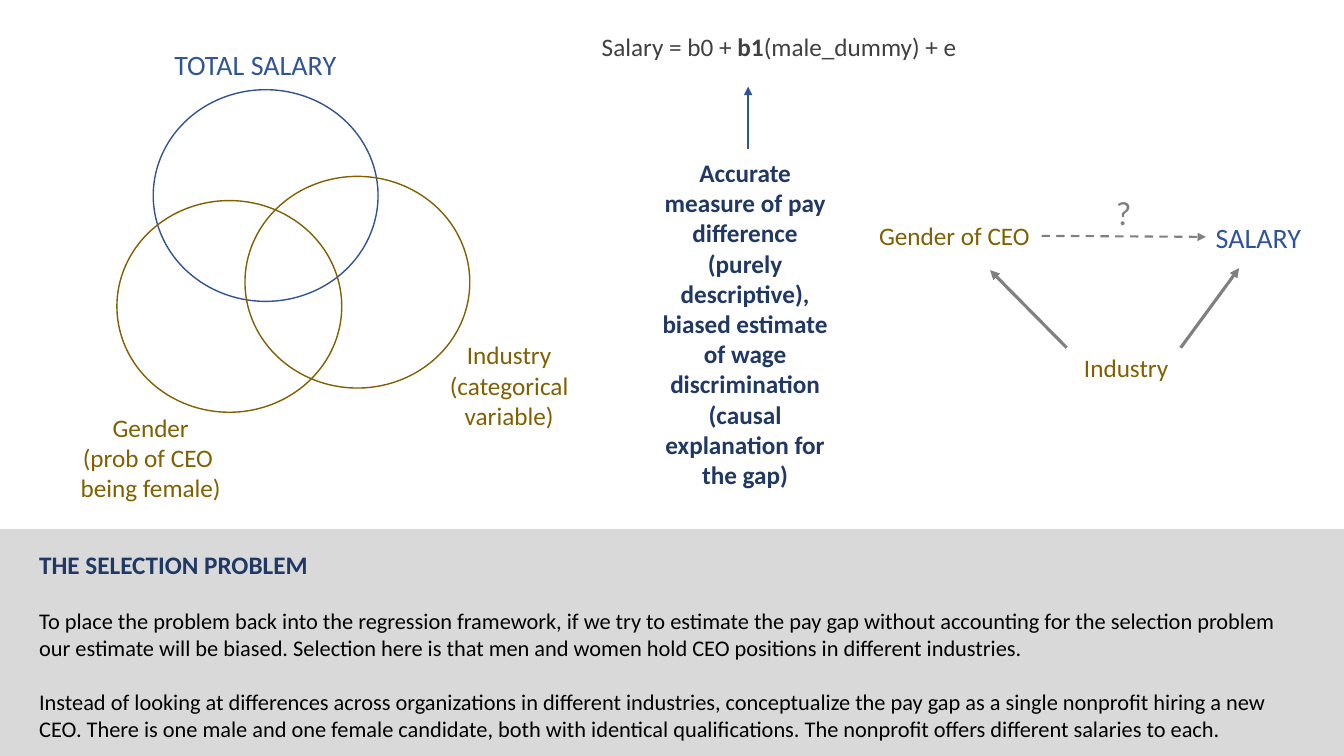
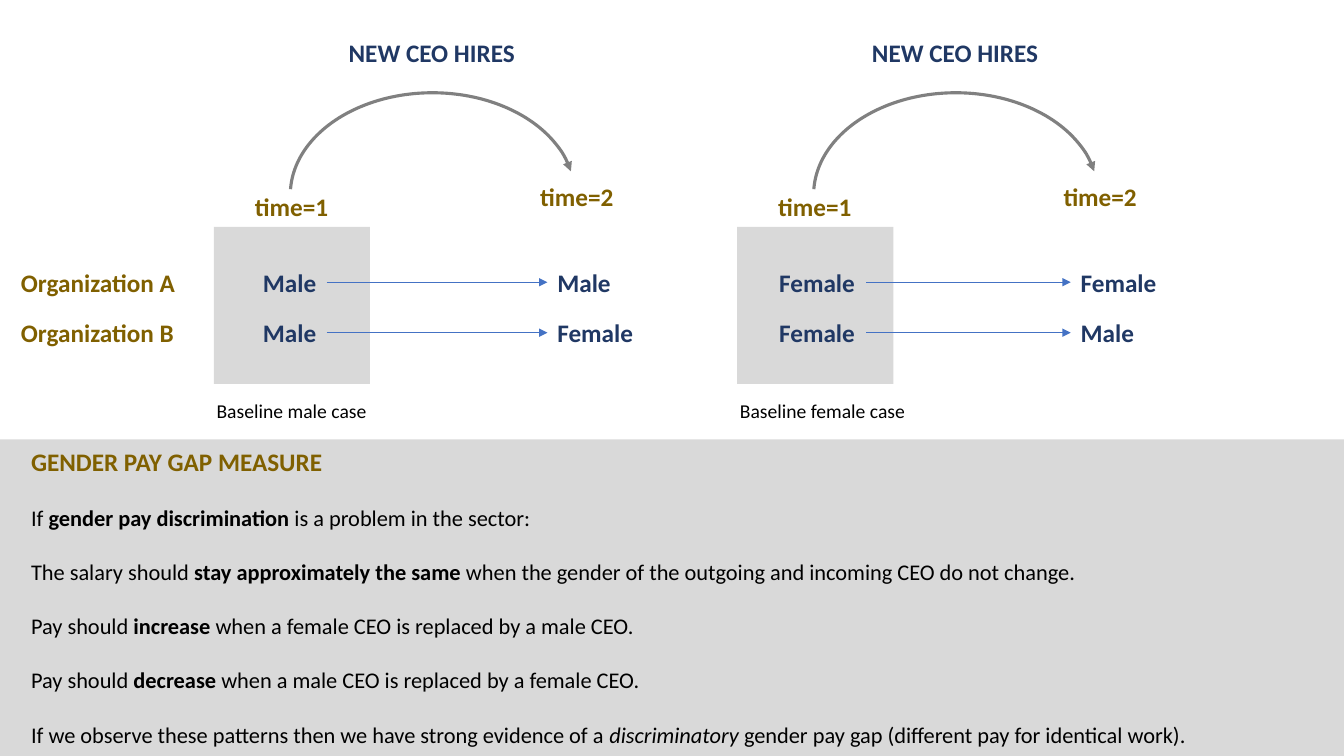
import dataclasses
import typing

import pptx
import pptx.dml.color
import pptx.enum.dml
import pptx.enum.shapes
import pptx.enum.text
import pptx.oxml
import pptx.oxml.ns
import pptx.util

Inches = pptx.util.Inches
Pt = pptx.util.Pt
Shapes = pptx.enum.shapes.MSO_SHAPE


@dataclasses.dataclass(frozen=True)
class Theme:
    font: str = "Calibri"
    navy: str = "203864"
    blue: str = "2F5597"
    circle_blue: str = "325491"
    arrow_blue: str = "4472C4"
    gold: str = "806000"
    gray: str = "808080"
    dark_gray: str = "404040"
    panel: str = "D9D9D9"
    black: str = "000000"
    caption: float = 14
    body: float = 16
    label: float = 18
    salary: float = 20
    question: float = 24
    body_gap: float = 19.5


THEME = Theme()
SLIDE_WIDTH, SLIDE_HEIGHT = 13.33, 7.5


class Area(typing.NamedTuple):
    left: float
    top: float
    width: float
    height: float


class Point(typing.NamedTuple):
    x: float
    y: float


@dataclasses.dataclass(frozen=True)
class Span:
    text: str
    bold: bool = False
    italic: bool = False


@dataclasses.dataclass(frozen=True)
class Label:
    text: str
    area: Area
    color: str = THEME.gold
    size: float = THEME.label
    wrap: bool = False
    centered: bool = False


@dataclasses.dataclass(frozen=True)
class Circle:
    left: float
    top: float
    color: str


@dataclasses.dataclass(frozen=True)
class Arrow:
    start: Point
    end: Point
    color: str
    width: float
    dashed: bool = False


@dataclasses.dataclass(frozen=True)
class HireCase:
    offset: float
    baseline: str
    hires: tuple[str, str]
    start_left: float
    caption: str
    caption_width: float


Paragraph = str | list[Span]


def rgb(color: str) -> pptx.dml.color.RGBColor:
    return pptx.dml.color.RGBColor.from_string(color)


def write_text(page, area: Area, paragraphs: list[Paragraph], *, color: str,
               size: float = THEME.label, bold: bool = False, wrap: bool = False,
               centered: bool = False, gap: float = 0, heading: str = "",
               heading_color: str = THEME.navy) -> None:
    """Place a text box; a line feed in a span is a line break."""
    box = page.shapes.add_textbox(*map(Inches, area))
    frame = box.text_frame
    frame.word_wrap = wrap
    frame.auto_size = pptx.enum.text.MSO_AUTO_SIZE.SHAPE_TO_FIT_TEXT
    lines = [heading, *paragraphs] if heading else paragraphs
    for index, line in enumerate(lines):
        is_heading = bool(heading) and index == 0
        para = frame.paragraphs[0] if index == 0 else frame.add_paragraph()
        if centered:
            para.alignment = pptx.enum.text.PP_ALIGN.CENTER
        if index and gap:
            para.space_before = Pt(gap)
        for span in [Span(line, bold or is_heading)] if isinstance(line, str) else line:
            for part_index, part in enumerate(span.text.split("\n")):
                if part_index:
                    para.add_line_break()
                run = para.add_run()
                run.text = part
                font = run.font
                font.name = THEME.font
                font.size = Pt(THEME.label if is_heading else size)
                font.bold = span.bold
                font.italic = span.italic
                font.color.rgb = rgb(heading_color if is_heading else color)


def draw_shape(page, kind, area: Area, *, fill: str = "", line: str = "",
               line_width: float = 1):
    shape = page.shapes.add_shape(kind, *map(Inches, area))
    shape.shadow.inherit = False
    if fill:
        shape.fill.solid()
        shape.fill.fore_color.rgb = rgb(fill)
    else:
        shape.fill.background()
    if line:
        shape.line.color.rgb = rgb(line)
        shape.line.width = Pt(line_width)
    else:
        shape.line.fill.background()
    return shape


def add_arrowhead(shape) -> None:
    outline = shape.element.spPr.find(pptx.oxml.ns.qn("a:ln"))
    head = pptx.oxml.parse_xml(
        f'<a:tailEnd {pptx.oxml.ns.nsdecls("a")} type="triangle"/>')
    outline.append(head)


def draw_arrow(page, arrow: Arrow) -> None:
    connector = page.shapes.add_connector(
        pptx.enum.shapes.MSO_CONNECTOR.STRAIGHT,
        *map(Inches, (*arrow.start, *arrow.end)))
    connector.line.color.rgb = rgb(arrow.color)
    connector.line.width = Pt(arrow.width)
    if arrow.dashed:
        connector.line.dash_style = pptx.enum.dml.MSO_LINE.DASH
    add_arrowhead(connector)
    connector.element.spPr.append(
        pptx.oxml.parse_xml(f'<a:effectLst {pptx.oxml.ns.nsdecls("a")}/>'))


def draw_panel(page, top: float, area: Area, heading: str, heading_color: str,
               paragraphs: list[Paragraph]) -> None:
    """Draw the gray band at the foot of a slide with its heading and text."""
    draw_shape(page, Shapes.RECTANGLE,
               Area(0, top, SLIDE_WIDTH, SLIDE_HEIGHT - top), fill=THEME.panel)
    write_text(page, area, paragraphs, color=THEME.black, size=THEME.body, wrap=True,
               gap=THEME.body_gap, heading=heading, heading_color=heading_color)


def build_selection_slide(page) -> None:
    draw_panel(page, 5.25, Area(0.29, 5.4, 12.54, 2.02),
               "THE SELECTION PROBLEM", THEME.navy, [
        "To place the problem back into the regression framework, if we try to estimate "
        "the pay gap without accounting for the selection problem our estimate will be "
        "biased. Selection here is that men and women hold CEO positions in different "
        "industries.",
        "Instead of looking at differences across organizations in different industries, "
        "conceptualize the pay gap as a single nonprofit hiring a new CEO. There is one "
        "male and one female candidate, both with identical qualifications. The nonprofit "
        "offers different salaries to each.",
    ])
    circles = [
        Circle(1.52, 0.89, THEME.circle_blue),
        Circle(1.16, 1.99, THEME.gold),
        Circle(2.43, 1.75, THEME.gold),
    ]
    for circle in circles:
        draw_shape(page, Shapes.OVAL, Area(circle.left, circle.top, 2.23, 2.1),
                   line=circle.color)
    arrows = [
        Arrow(Point(11.71, 3.45), Point(12.29, 2.66), THEME.gray, 2.25),
        Arrow(Point(10.58, 3.45), Point(9.82, 2.68), THEME.gray, 2.25),
        Arrow(Point(10.33, 2.34), Point(11.96, 2.35), THEME.gray, 1.5, dashed=True),
        Arrow(Point(7.42, 1.48), Point(7.42, 0.86), THEME.blue, 1.5),
    ]
    for arrow in arrows:
        draw_arrow(page, arrow)
    labels = [
        Label("SALARY", Area(11.96, 2.14, 1.06, 0.44), THEME.blue, THEME.salary),
        Label("Gender of CEO", Area(8.62, 2.14, 1.71, 0.4)),
        Label("Industry", Area(10.29, 3.45, 1.76, 0.4), wrap=True, centered=True),
        Label("Industry\n(categorical\nvariable)", Area(4.17, 3.32, 1.76, 1.01),
              wrap=True, centered=True),
        Label("Gender\n(prob of CEO \nbeing female)", Area(0.69, 4.04, 1.61, 1.01),
              centered=True),
        Label("TOTAL SALARY", Area(1.63, 0.42, 1.82, 0.44), THEME.blue, THEME.salary),
        Label("?", Area(10.97, 1.85, 0.36, 0.5), THEME.gray, THEME.question),
    ]
    for label in labels:
        write_text(page, label.area, [label.text], color=label.color, size=label.size,
                   wrap=label.wrap, centered=label.centered)
    write_text(page, Area(5.87, 0.26, 3.76, 0.4),
               [[Span("Salary = b0 + "), Span("b1", bold=True),
                 Span("(male_dummy) + e")]], color=THEME.dark_gray)
    write_text(page, Area(6.4, 1.51, 1.98, 3.43), [
        "Accurate measure of pay difference (purely descriptive), biased estimate of "
        "wage discrimination",
        "(causal explanation for the gap)",
    ], color=THEME.navy, bold=True, wrap=True, centered=True)


ROW_TOPS = (2.6, 3.1)
GENDER_WIDTHS = {"Male": 0.73, "Female": 0.96}


def draw_hire_case(page, case: HireCase) -> None:
    arc = draw_shape(page, Shapes.ARC, Area(case.offset + 2.88, 0.92, 2.82, 2.02),
                     line=THEME.gray, line_width=2.25)
    arc.adjustments[0], arc.adjustments[1] = 109.3, 210.28
    add_arrowhead(arc)
    draw_shape(page, Shapes.RECTANGLE, Area(case.offset + 2.12, 2.25, 1.55, 1.56),
               fill=THEME.panel)
    labels = [
        Label("NEW CEO HIRES", Area(case.offset + 3.36, 0.32, 1.87, 0.4), THEME.navy),
        Label("time=1", Area(case.offset + 2.43, 1.85, 0.94, 0.4)),
        Label("time=2", Area(case.offset + 5.26, 1.75, 0.94, 0.4)),
    ]
    start_left = case.offset + case.start_left
    hire_left = case.offset + 5.43
    start_width = GENDER_WIDTHS[case.baseline]
    for top, hire in zip(ROW_TOPS, case.hires):
        labels += [
            Label(case.baseline, Area(start_left, top, start_width, 0.4), THEME.navy),
            Label(hire, Area(hire_left, top, GENDER_WIDTHS[hire], 0.4), THEME.navy),
        ]
        draw_arrow(page, Arrow(Point(start_left + start_width, top + 0.2),
                               Point(hire_left, top + 0.2), THEME.arrow_blue, 0.5))
    for label in labels:
        write_text(page, label.area, [label.text], color=label.color, bold=True)
    write_text(page, Area(case.offset + 2.05, 3.91, case.caption_width, 0.34),
               [case.caption], color=THEME.black, size=THEME.caption)


def build_measure_slide(page) -> None:
    draw_panel(page, 4.36, Area(0.21, 4.38, 11.9, 3.1),
               "GENDER PAY GAP MEASURE", THEME.gold, [
        [Span("If "), Span("gender pay discrimination ", bold=True),
         Span("is a problem in the sector:")],
        [Span("The salary should "), Span("stay approximately the same ", bold=True),
         Span("when the gender of the outgoing and incoming CEO do not change.")],
        [Span("Pay should "), Span("increase", bold=True),
         Span(" when a female CEO is replaced by a male CEO.")],
        [Span("Pay should "), Span("decrease", bold=True),
         Span(" when a male CEO is replaced by a female CEO.")],
        [Span("If we observe these patterns then we have strong evidence of a "),
         Span("discriminatory", italic=True),
         Span(" gender pay gap (different pay for identical work).")],
    ])
    cases = [
        HireCase(0, "Male", ("Male", "Female"), 2.51, "Baseline male case", 1.7),
        HireCase(5.19, "Female", ("Female", "Male"), 2.44, "Baseline female case", 1.86),
    ]
    for case in cases:
        draw_hire_case(page, case)
    for top, name in zip(ROW_TOPS, ("Organization A", "Organization B")):
        write_text(page, Area(0.11, top, 1.74, 0.4), [name], color=THEME.gold, bold=True)


def main() -> None:
    deck = pptx.Presentation()
    deck.slide_width = Inches(SLIDE_WIDTH)
    deck.slide_height = Inches(SLIDE_HEIGHT)
    blank = deck.slide_layouts[6]
    for build in (build_selection_slide, build_measure_slide):
        build(deck.slides.add_slide(blank))
    deck.save("out.pptx")


if __name__ == "__main__":
    main()
